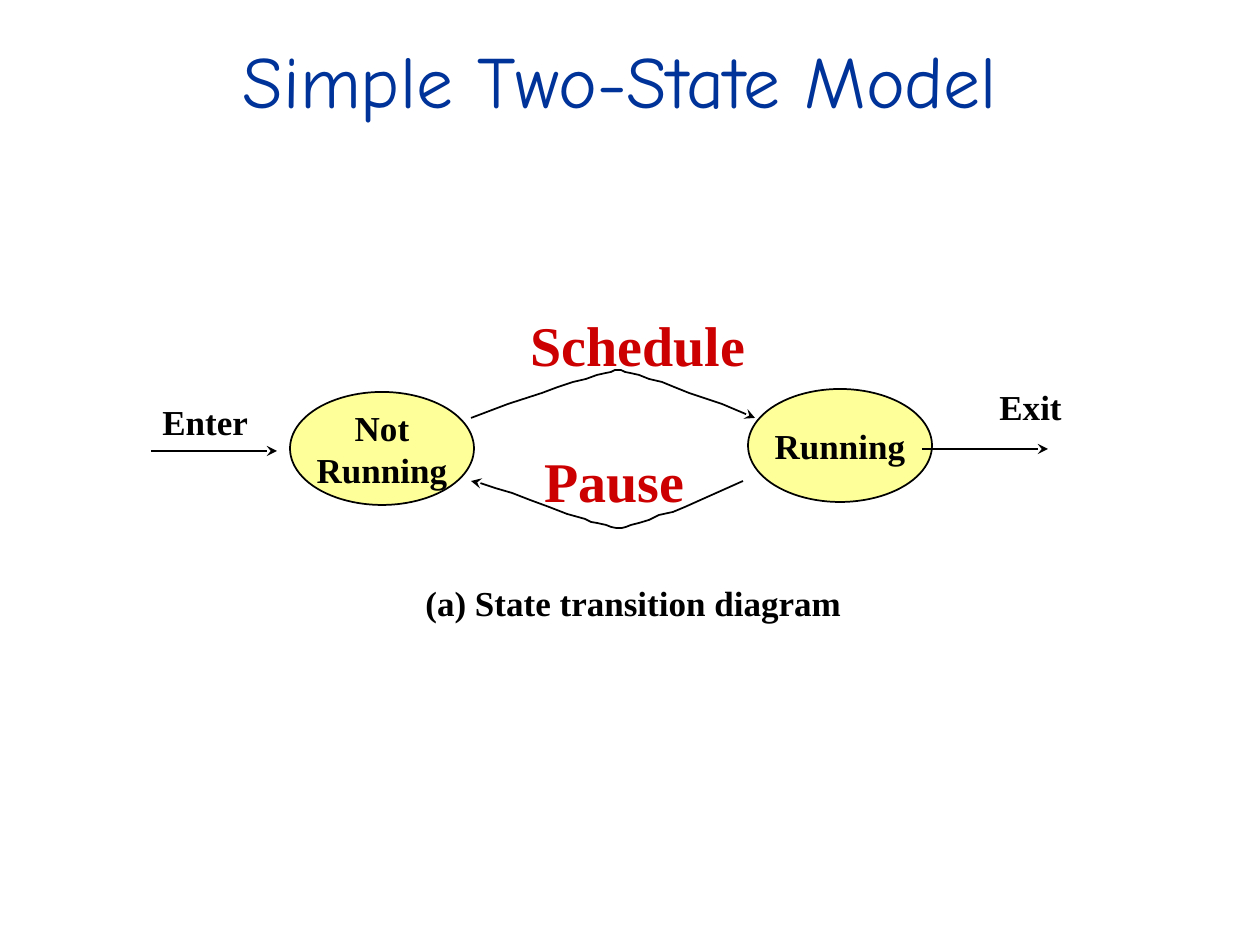
from lxml import etree
from pptx import Presentation
from pptx.dml.color import RGBColor
from pptx.enum.shapes import MSO_CONNECTOR, MSO_SHAPE
from pptx.enum.text import MSO_ANCHOR, MSO_AUTO_SIZE, PP_ALIGN
from pptx.oxml.ns import qn
from pptx.util import Emu, Inches, Pt

LEFT, CENTER = PP_ALIGN.LEFT, PP_ALIGN.CENTER
TOP, MIDDLE, BOTTOM = MSO_ANCHOR.TOP, MSO_ANCHOR.MIDDLE, MSO_ANCHOR.BOTTOM
FIT_SHAPE = MSO_AUTO_SIZE.SHAPE_TO_FIT_TEXT
ELLIPSE, STRAIGHT = MSO_SHAPE.OVAL, MSO_CONNECTOR.STRAIGHT

PX_PER_INCH = 126
TITLE_FONT, BODY_FONT = "Comic Neue", "Times New Roman"
BLUE, BLACK, RED, YELLOW = "003399", "000000", "CC0000", "FFFF99"

# Curve points, relative to the diagram box
SCHEDULE_CURVE = [
    (321, 118), (358, 104), (392, 93), (408, 87), (423, 82), (436, 79),
    (447, 75), (456, 73), (461, 72), (465, 70), (469, 70), (471, 70),
    (475, 72), (480, 73), (489, 75), (499, 79), (512, 82), (524, 87),
    (539, 93), (572, 104), (605, 118)]
PAUSE_CURVE = [
    (593, 181), (564, 194), (535, 207), (523, 212), (509, 215), (499, 220),
    (489, 223), (481, 225), (476, 227), (472, 228), (469, 228), (466, 228),
    (461, 227), (456, 225), (447, 223), (441, 222), (435, 219), (417, 214),
    (399, 207), (380, 200), (362, 193), (345, 188), (330, 183), (324, 181),
    (321, 181)]


def px(n):
    return Emu(round(n * 914400 / PX_PER_INCH))


def rgb(color):
    return RGBColor.from_string(color)


def set_line(sp):
    sp.line.color.rgb = rgb(BLACK)
    sp.line.width = Pt(1)


def add_arrowhead(sp):
    etree.SubElement(sp.line._get_or_add_ln(), qn("a:tailEnd"), type="stealth")


def fill_text(tf, lines, size, color, font=BODY_FONT, bold=True,
              align=LEFT, anchor=TOP, wrap=False):
    tf.word_wrap = wrap
    tf.vertical_anchor = anchor
    for i, line in enumerate(lines):
        p = tf.add_paragraph() if i else tf.paragraphs[0]
        p.alignment = align
        r = p.add_run()
        r.text = line
        r.font.name = font
        r.font.size = Pt(size)
        r.font.bold = bold
        r.font.color.rgb = rgb(color)


def add_title(slide, x, y, w, h):
    sp = slide.shapes.add_textbox(px(x), px(y), px(w), px(h))
    fill_text(sp.text_frame, ["Simple Two-State Model"], 42, BLUE, TITLE_FONT,
              bold=False, align=CENTER, anchor=BOTTOM, wrap=True)


def add_state(slide, x, y, lines):
    sp = slide.shapes.add_shape(ELLIPSE, px(x), px(y), px(184), px(113))
    sp.shadow.inherit = False
    sp.fill.solid()
    sp.fill.fore_color.rgb = rgb(YELLOW)
    set_line(sp)
    fill_text(sp.text_frame, lines, 20, BLACK, align=CENTER, anchor=MIDDLE)


def add_arrow(slide, x, y, length):
    sp = slide.shapes.add_connector(STRAIGHT, px(x), px(y), px(x + length), px(y))
    set_line(sp)
    add_arrowhead(sp)
    etree.SubElement(sp._element.spPr, qn("a:effectLst"))


def add_curve(slide, x, y, points):
    start, *rest = [(px(x + dx), px(y + dy)) for dx, dy in points]
    builder = slide.shapes.build_freeform(*start)
    builder.add_line_segments(rest, close=False)
    sp = builder.convert_to_shape()
    sp.shadow.inherit = False
    sp.fill.background()
    set_line(sp)
    add_arrowhead(sp)


def add_label(slide, x, y, w, h, text, size, color):
    sp = slide.shapes.add_textbox(px(x), px(y), px(w), px(h))
    fill_text(sp.text_frame, [text], size, color)
    sp.text_frame.auto_size = FIT_SHAPE


def add_diagram(slide, x, y):
    """Draw states, transitions and labels from the box's top left corner."""
    add_state(slide, x + 140, y + 92, ["Not", "Running"])
    add_state(slide, x + 598, y + 89, ["Running"])
    add_arrow(slide, x + 1, y + 151, 126)
    add_arrow(slide, x + 772, y + 149, 126)
    for points in (PAUSE_CURVE, SCHEDULE_CURVE):
        add_curve(slide, x, y, points)
    for dx, dy, w, h, text, size, color in [
            (0, 94, 111, 54, "Enter", 20, BLACK),
            (368, 4, 241, 79, "Schedule", 32, RED),
            (382, 140, 165, 79, "Pause", 32, RED),
            (837, 79, 88, 54, "Exit", 20, BLACK),
            (263, 275, 441, 54, "(a) State transition diagram", 20, BLACK)]:
        add_label(slide, x + dx, y + dy, w, h, text, size, color)


def main():
    prs = Presentation()
    prs.slide_width, prs.slide_height = Inches(10), Inches(7.5)
    slide = prs.slides.add_slide(prs.slide_layouts[6])
    add_title(slide, 58, 42, 1124, 87)
    add_diagram(slide, 150, 300)
    prs.save("out.pptx")


if __name__ == "__main__":
    main()
